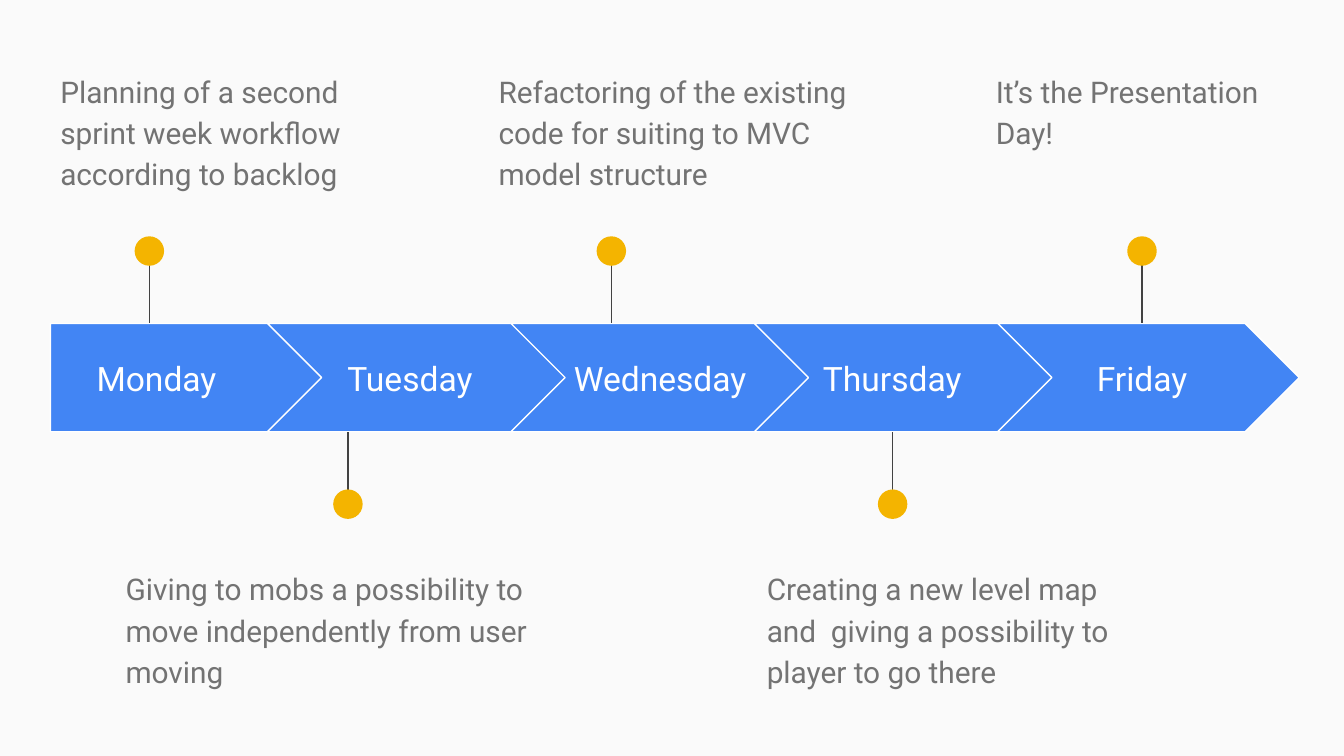
from dataclasses import dataclass

from lxml.etree import SubElement
from pptx import Presentation
from pptx.dml.color import RGBColor
from pptx.enum.shapes import MSO_CONNECTOR, MSO_SHAPE
from pptx.enum.text import MSO_ANCHOR, PP_ALIGN
from pptx.oxml.ns import qn
from pptx.util import Pt


@dataclass(frozen=True)
class Theme:
    background: str = "FAFAFA"
    band: str = "4285F4"
    light: str = "FFFFFF"
    dot: str = "F4B400"
    stem: str = "424242"
    note: str = "737373"
    font: str = "Roboto"
    day_size: float = 18
    note_size: float = 16
    hairline: float = 0.75


THEME = Theme()

# Content: day, label (left, width), pin x, note (left, width), note text
DAYS = [
    ("Monday", (26.6, 114.5), 80, (25.2, 206),
     "Planning of a second sprint week workflow according to backlog"),
    ("Tuesday", (167.8, 103.7), 186.4, (60.2, 236),
     "Giving to mobs a possibility to move independently from user moving"),
    ("Wednesday", (296.4, 114.5), 327.5, (260, 206),
     "Refactoring of the existing code for suiting to MVC model structure"),
    ("Thursday", (426.2, 103.7), 478.2, (403.7, 200),
     "Creating a new level map and  giving a possibility to player to go there"),
    ("Friday", (560, 103.7), 611.8, (526.4, 176.5),
     "It’s the Presentation Day!"),
]

# Layout, in points
BAND_LEFT, BAND_TOP, BAND_HEIGHT = 27, 173.3, 58
FIRST_WIDTH, CHEVRON_LEFT, CHEVRON_WIDTH, STEP = 145.5, 143.3, 161.5, 130.4
LABEL_HEIGHT = 36.8
DOT_SIZE, STEM_LENGTH = 15.8, 38.8
NOTE_HEIGHT, NOTE_ABOVE, NOTE_BELOW = 71.2, 29.5, 295.9


def color(code):
    return RGBColor.from_string(code)


def add_text(slide, text, left, top, width, height, *, size, ink,
             align=PP_ALIGN.LEFT, anchor=MSO_ANCHOR.TOP, spacing=1.0):
    frame = slide.shapes.add_textbox(Pt(left), Pt(top), Pt(width), Pt(height)).text_frame
    frame.word_wrap = True
    frame.vertical_anchor = anchor
    frame.margin_left = frame.margin_right = Pt(7.2)
    frame.margin_top = frame.margin_bottom = Pt(7.2)
    paragraph = frame.paragraphs[0]
    paragraph.alignment = align
    paragraph.line_spacing = spacing
    run = paragraph.add_run()
    run.text = text
    run.font.name = THEME.font
    run.font.size = Pt(size)
    run.font.color.rgb = color(ink)


def add_block(slide, kind, left, top, width, height, fill, outline=None):
    block = slide.shapes.add_shape(kind, Pt(left), Pt(top), Pt(width), Pt(height))
    block.shadow.inherit = False
    block.fill.solid()
    block.fill.fore_color.rgb = color(fill)
    if outline:
        block.line.color.rgb = color(outline)
        block.line.width = Pt(THEME.hairline)
    else:
        block.line.fill.background()
    return block


def add_pin(slide, x, band_edge, dot_y):
    stem = slide.shapes.add_connector(
        MSO_CONNECTOR.STRAIGHT, Pt(x), Pt(dot_y), Pt(x), Pt(band_edge))
    stem.line.color.rgb = color(THEME.stem)
    stem.line.width = Pt(THEME.hairline)
    SubElement(stem._element.spPr, qn("a:effectLst"))
    add_block(slide, MSO_SHAPE.OVAL, x - DOT_SIZE / 2, dot_y - DOT_SIZE / 2,
              DOT_SIZE, DOT_SIZE, THEME.dot)


def add_day(slide, index, day, label, pin_x, note, note_text):
    # Band segment
    if index == 0:
        kind, left, width = MSO_SHAPE.PENTAGON, BAND_LEFT, FIRST_WIDTH
    else:
        kind, width = MSO_SHAPE.CHEVRON, CHEVRON_WIDTH
        left = CHEVRON_LEFT + (index - 1) * STEP
    segment = add_block(slide, kind, left, BAND_TOP, width, BAND_HEIGHT,
                        THEME.band, THEME.light)
    segment.adjustments[0] = 0.5

    # Day label
    label_left, label_width = label
    add_text(slide, day, label_left, BAND_TOP + (BAND_HEIGHT - LABEL_HEIGHT) / 2,
             label_width, LABEL_HEIGHT, size=THEME.day_size, ink=THEME.light,
             align=PP_ALIGN.CENTER, anchor=MSO_ANCHOR.MIDDLE)

    # Pin and note alternate above and below the band
    if index % 2 == 0:
        band_edge, direction, note_top = BAND_TOP, -1, NOTE_ABOVE
    else:
        band_edge, direction, note_top = BAND_TOP + BAND_HEIGHT, 1, NOTE_BELOW
    add_pin(slide, pin_x, band_edge, band_edge + direction * STEM_LENGTH)
    note_left, note_width = note
    add_text(slide, note_text, note_left, note_top, note_width, NOTE_HEIGHT,
             size=THEME.note_size, ink=THEME.note, spacing=1.15)


def main():
    deck = Presentation()
    deck.slide_width, deck.slide_height = Pt(720), Pt(405)
    slide = deck.slides.add_slide(deck.slide_layouts[6])
    slide.background.fill.solid()
    slide.background.fill.fore_color.rgb = color(THEME.background)
    for index, entry in enumerate(DAYS):
        add_day(slide, index, *entry)
    deck.save("out.pptx")


if __name__ == "__main__":
    main()
